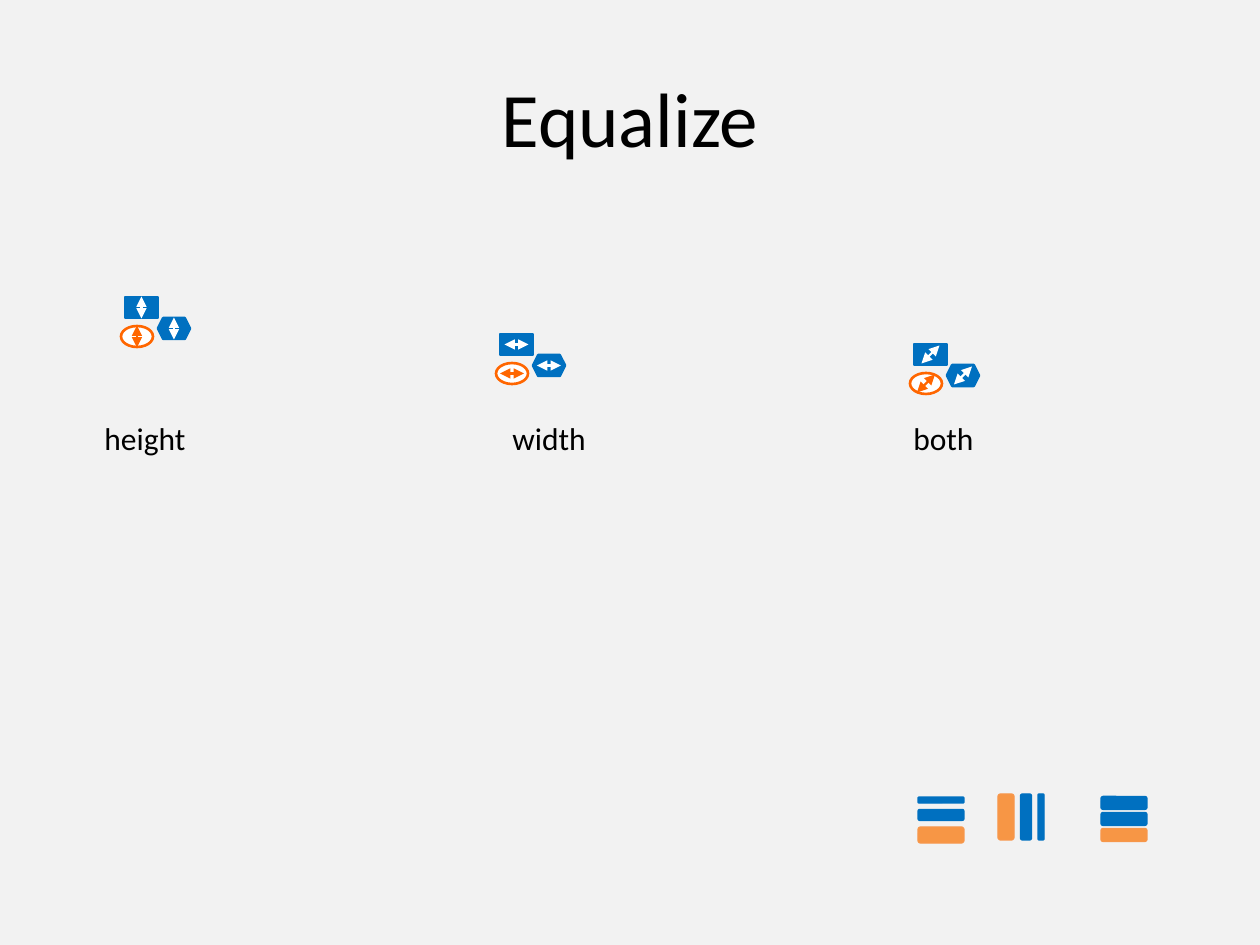
from lxml import etree
from pptx import Presentation
from pptx.dml.color import RGBColor
from pptx.enum.shapes import MSO_CONNECTOR, MSO_SHAPE
from pptx.enum.text import MSO_ANCHOR, MSO_AUTO_SIZE, PP_ALIGN
from pptx.oxml.ns import qn
from pptx.util import Emu, Pt

PX_PER_INCH = 126
FONT = "Calibri"
BACKGROUND = RGBColor(0xF2, 0xF2, 0xF2)
BLACK = RGBColor(0, 0, 0)
WHITE = RGBColor(0xFF, 0xFF, 0xFF)
BLUE = RGBColor(0x00, 0x70, 0xC0)
ORANGE = RGBColor(0xFF, 0x66, 0x00)
BAR_ORANGE = RGBColor(0xF7, 0x96, 0x45)
BAR_EDGE = RGBColor(0xF7, 0x97, 0x4B)

STRAIGHT = MSO_CONNECTOR.STRAIGHT
ROUNDED = MSO_SHAPE.ROUNDED_RECTANGLE
RECTANGLE = MSO_SHAPE.RECTANGLE
OVAL = MSO_SHAPE.OVAL
HEXAGON = MSO_SHAPE.HEXAGON
LEFT, CENTER = PP_ALIGN.LEFT, PP_ALIGN.CENTER
TOP, MIDDLE = MSO_ANCHOR.TOP, MSO_ANCHOR.MIDDLE
FIT_SHAPE = MSO_AUTO_SIZE.SHAPE_TO_FIT_TEXT

BAR_LENGTH = 46

# Icon parts: preset, left and top within the icon, width, height, fill, line, arrow
ICON_PARTS = [
    (RECTANGLE, 4, 0, 33, 21, BLUE, BLUE, WHITE),
    (OVAL, 0, 29, 32, 21, WHITE, ORANGE, ORANGE),
    (HEXAGON, 37, 21, 32, 21, BLUE, BLUE, WHITE),
]
# Columns: label, its left and width, icon left and top, half span of the arrow
COLUMNS = [
    ("height", 92, 107, 121, 297, (0, -11)),
    ("width", 500, 100, 496, 334, (12, 0)),
    ("both", 901, 87, 910, 344, (9, -9)),
]
# Bar groups: rotation, then centre x, centre y and thickness of each bar
BAR_GROUPS = [
    (0, [(941, 835, 16), (941, 815, 11), (941, 800, 6)]),
    (90, [(1006, 817, 16), (1026, 817, 11), (1041, 817, 6)]),
    (0, [(1124, 835, 13), (1124, 819, 13), (1124, 803, 13)]),
]


def px(*lengths):
    return [Emu(round(length * 914400 / PX_PER_INCH)) for length in lengths]


def set_text(shape, text, *, size, color=BLACK, align=LEFT, anchor=TOP, wrap=True):
    frame = shape.text_frame
    frame.word_wrap = wrap
    frame.vertical_anchor = anchor
    paragraph = frame.paragraphs[0]
    paragraph.alignment = align
    run = paragraph.add_run()
    run.text = text
    run.font.name = FONT
    run.font.size = Pt(size)
    run.font.color.rgb = color
    return frame


def add_title(slide, text):
    title = slide.shapes.title
    title.left, title.top, title.width, title.height = px(63, 38, 1134, 158)
    set_text(title, text, size=44, align=CENTER, anchor=MIDDLE)


def add_label(slide, text, left, width):
    box = slide.shapes.add_textbox(*px(left, 413, width, 50))
    set_text(box, text, size=18, wrap=False).auto_size = FIT_SHAPE


def add_preset(group, preset, box, fill, line, line_width):
    shape = group.shapes.add_shape(preset, *px(*box))
    shape.shadow.inherit = False
    shape.fill.solid()
    shape.fill.fore_color.rgb = fill
    shape.line.color.rgb = line
    shape.line.width = Pt(line_width)
    return shape


def add_double_arrow(group, begin, end, color):
    arrow = group.shapes.add_connector(STRAIGHT, *px(*begin, *end))
    arrow.line.color.rgb = color
    arrow.line.width = Pt(1.25)
    line = arrow.line._get_or_add_ln()
    for tag in ("a:headEnd", "a:tailEnd"):
        etree.SubElement(line, qn(tag), type="triangle")
    etree.SubElement(arrow._element.spPr, qn("a:effectLst"))


def add_icon(slide, left, top, span):
    group = slide.shapes.add_group_shape()
    for preset, x, y, width, height, fill, line, _ in ICON_PARTS:
        add_preset(group, preset, (left + x, top + y, width, height), fill, line, 1.5)
    # One arrow through the centre of each part
    dx, dy = span
    for _, x, y, width, height, _, _, color in ICON_PARTS:
        center_x = left + x + width / 2
        center_y = top + y + height / 2
        add_double_arrow(group, (center_x + dx, center_y + dy),
                         (center_x - dx, center_y - dy), color)


def add_bars(slide, rotation, bars):
    group = slide.shapes.add_group_shape()
    for index, (center_x, center_y, thickness) in enumerate(bars):
        fill, line = (BLUE, BLUE) if index else (BAR_ORANGE, BAR_EDGE)
        box = (center_x - BAR_LENGTH / 2, center_y - thickness / 2,
               BAR_LENGTH, thickness)
        add_preset(group, ROUNDED, box, fill, line, 0.75).rotation = rotation


def main():
    presentation = Presentation()
    presentation.slide_width, presentation.slide_height = px(1260, 945)
    slide = presentation.slides.add_slide(presentation.slide_layouts[5])
    slide.background.fill.solid()
    slide.background.fill.fore_color.rgb = BACKGROUND

    # Title and column labels
    add_title(slide, "Equalize")
    for text, left, width, *_ in COLUMNS:
        add_label(slide, text, left, width)

    # Bar groups at the lower right
    for rotation, bars in BAR_GROUPS:
        add_bars(slide, rotation, bars)

    # Icons above the labels
    for *_, left, top, span in COLUMNS:
        add_icon(slide, left, top, span)

    presentation.save("out.pptx")


if __name__ == "__main__":
    main()
